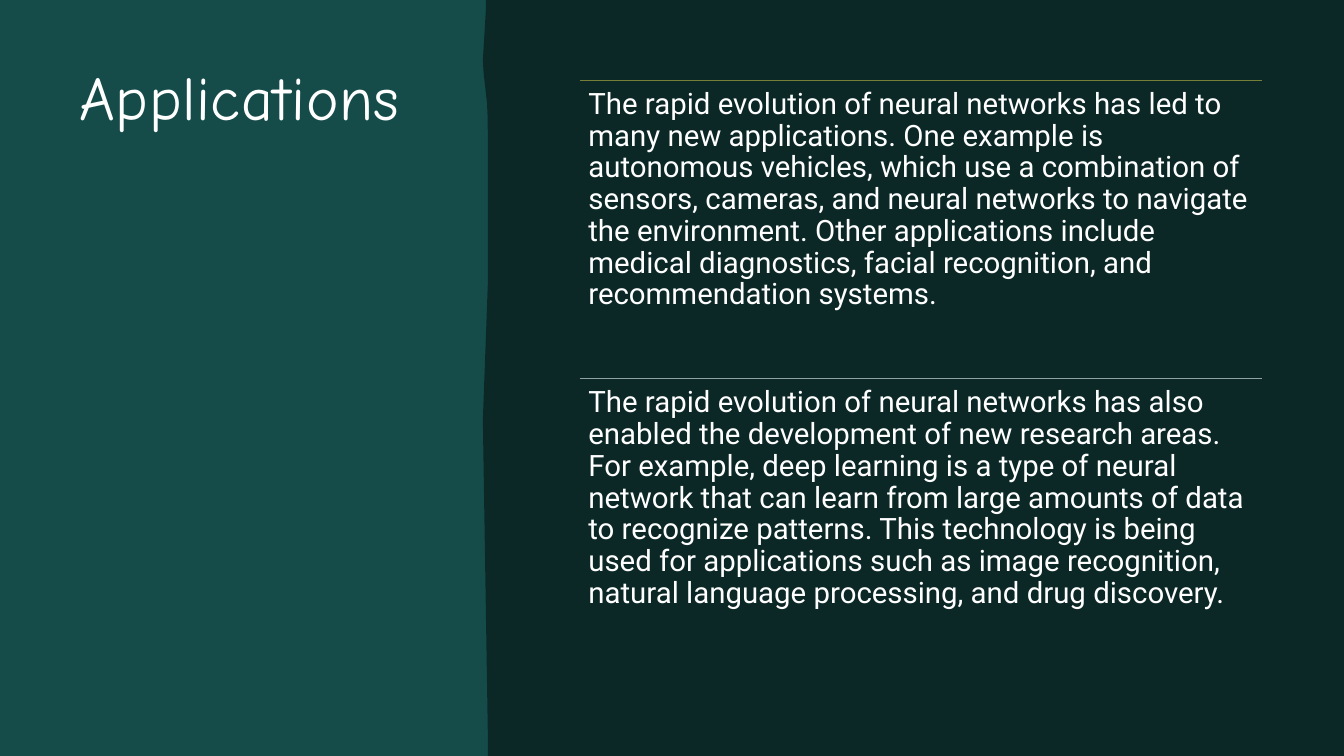
from dataclasses import dataclass

from lxml import etree
from pptx import Presentation
from pptx import util as u
from pptx.dml.color import RGBColor
from pptx.enum import shapes, text
from pptx.oxml.ns import qn


@dataclass(frozen=True)
class Theme:
    """Colours, fonts and type sizes of the slide."""
    dark: str = "0B2827"
    teal: str = "154C4A"
    ink: str = "FFFFFF"
    olive: str = "767E37"
    grey: str = "8FA3A3"
    title_font: str = "Comic Neue"
    body_font: str = "Roboto"
    title_size: float = 44
    body_size: float = 21


THEME = Theme()
WIDTH, HEIGHT = 960, 540
PASSAGE_LEFT, PASSAGE_TOP = 414, 57.2
PASSAGE_WIDTH, PASSAGE_PITCH = 487.4, 213.2

# Wavy left border of the dark panel, from bottom to top
WAVY_EDGE = [(348.5, 540), (348.5, 525), (344.9, 300), (348.5, 202.3),
             (348.5, 118), (348.4, 85), (347.9, 74), (346.7, 63),
             (345.5, 53), (344.9, 43.2), (347, 8)]

PASSAGES = [
    (THEME.olive,
     "The rapid evolution of neural networks has led to many new applications. "
     "One example is autonomous vehicles, which use a combination of sensors, "
     "cameras, and neural networks to navigate the environment. Other "
     "applications include medical diagnostics, facial recognition, and "
     "recommendation systems."),
    (THEME.grey,
     "The rapid evolution of neural networks has also enabled the development "
     "of new research areas. For example, deep learning is a type of neural "
     "network that can learn from large amounts of data to recognize patterns. "
     "This technology is being used for applications such as image "
     "recognition, natural language processing, and drug discovery."),
]


def paint(shape, color):
    """Give a shape a plain fill, without outline or shadow."""
    shape.shadow.inherit = False
    shape.fill.solid()
    shape.fill.fore_color.rgb = RGBColor.from_string(color)
    shape.line.fill.background()


def add_backdrop(slide):
    """Lay the teal ground and the dark panel with its wavy border."""
    ground = slide.shapes.add_shape(
        shapes.MSO_SHAPE.RECTANGLE, 0, 0, u.Pt(WIDTH), u.Pt(HEIGHT))
    paint(ground, THEME.teal)
    outline = [(u.Pt(x), u.Pt(y))
               for x, y in [(WIDTH, 0), (WIDTH, HEIGHT), *WAVY_EDGE]]
    builder = slide.shapes.build_freeform(u.Pt(347), 0)
    builder.add_line_segments(outline, close=True)
    paint(builder.convert_to_shape(), THEME.dark)


def add_text(parent, wording, box, inset, font_name, size, spacing):
    """Add a wrapped, top-aligned text box and return its paragraph."""
    frame = parent.shapes.add_textbox(*map(u.Pt, box)).text_frame
    frame.word_wrap = True
    frame.vertical_anchor = text.MSO_ANCHOR.TOP
    frame.margin_left = frame.margin_right = u.Pt(inset)
    frame.margin_top = frame.margin_bottom = u.Pt(inset)
    paragraph = frame.paragraphs[0]
    paragraph.text = wording
    paragraph.line_spacing = spacing
    paragraph.font.name = font_name
    paragraph.font.size = u.Pt(size)
    paragraph.font.color.rgb = RGBColor.from_string(THEME.ink)
    return paragraph


def add_title(slide, wording):
    """Add the slightly letter-spaced heading on the teal side."""
    heading = add_text(slide, wording, (56.9, 49, 244.8, 434), 0,
                       THEME.title_font, THEME.title_size, 0.88)
    heading.runs[0]._r.get_or_add_rPr().set("spc", "40")


def add_rule(parent, left, top, width, color):
    """Add a thin horizontal rule."""
    rule = parent.shapes.add_connector(
        shapes.MSO_CONNECTOR.STRAIGHT,
        *map(u.Pt, (left, top, left + width, top)))
    rule.line.color.rgb = RGBColor.from_string(color)
    rule.line.width = u.Pt(0.5)
    etree.SubElement(rule._element.spPr, qn("a:effectLst"))


def add_passages(slide):
    """Stack the ruled passages in one group at an equal pitch."""
    stack = slide.shapes.add_group_shape()
    for index, (rule_color, wording) in enumerate(PASSAGES):
        top = PASSAGE_TOP + index * PASSAGE_PITCH
        add_rule(stack, PASSAGE_LEFT, top, PASSAGE_WIDTH, rule_color)
        add_text(stack, wording,
                 (PASSAGE_LEFT, top, PASSAGE_WIDTH, PASSAGE_PITCH), 6.3,
                 THEME.body_font, THEME.body_size, 0.9)


def main():
    """Build the slide and save it."""
    deck = Presentation()
    deck.slide_width, deck.slide_height = u.Pt(WIDTH), u.Pt(HEIGHT)
    slide = deck.slides.add_slide(deck.slide_layouts[6])
    slide.background.fill.solid()
    slide.background.fill.fore_color.rgb = RGBColor.from_string(THEME.dark)
    add_backdrop(slide)
    add_title(slide, "Applications")
    add_passages(slide)
    deck.save("out.pptx")


main()
